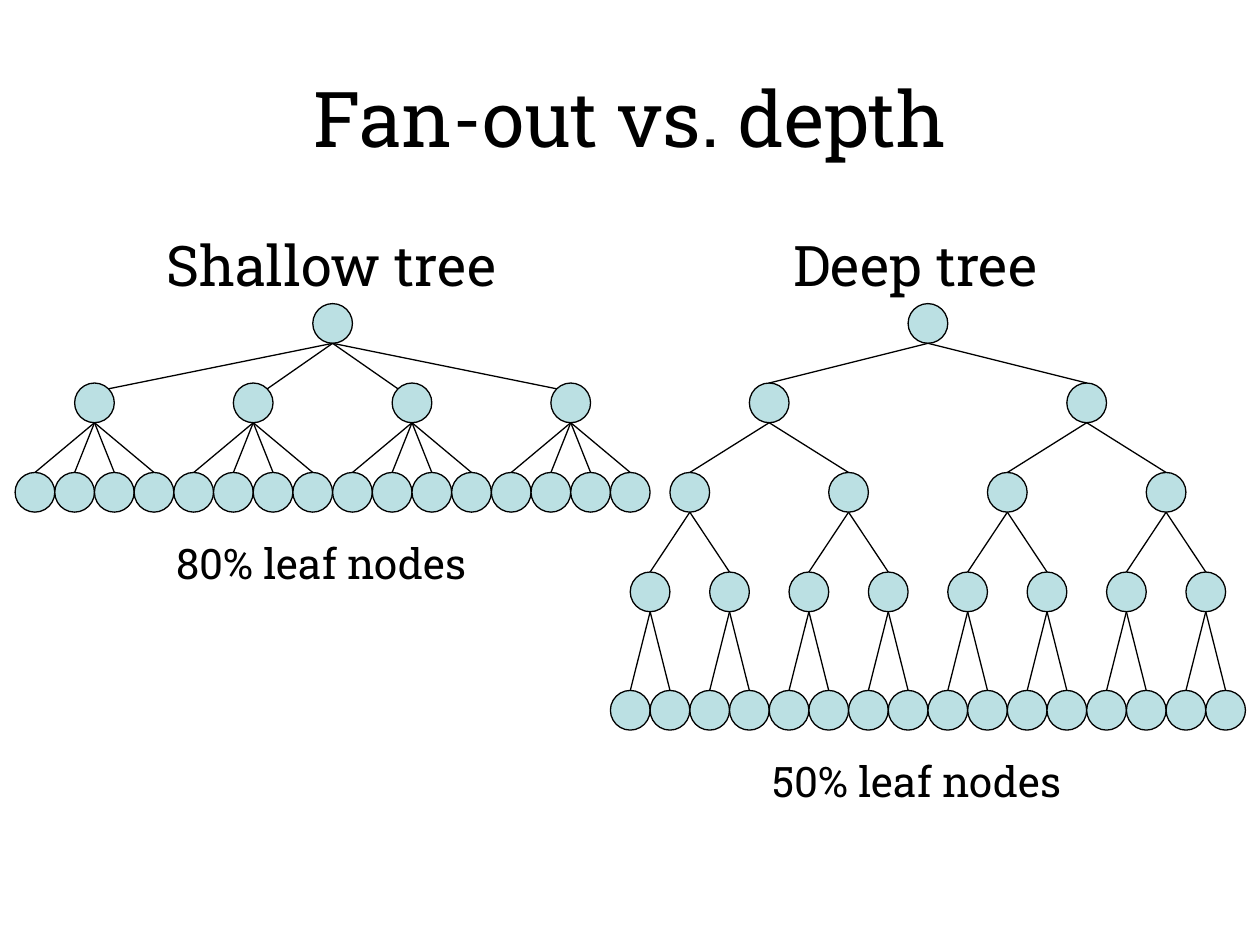
from math import sqrt

from lxml.etree import SubElement
from pptx import Presentation
from pptx.dml.color import RGBColor
from pptx.enum.shapes import MSO_CONNECTOR as Connector, MSO_SHAPE as Preset
from pptx.enum.text import MSO_ANCHOR as Anchor, PP_ALIGN as Align
from pptx.oxml.ns import qn
from pptx.util import Inches, Pt

WIDTH, HEIGHT = 10, 7.5
FONT = "Roboto Slab"
COLORS = {"node": "BBE0E3", "line": "000000", "text": "000000"}
LEAVES = 16
CELL = WIDTH * 0.0315
LEFT = WIDTH * 0.012
LINE_WIDTH = Pt(0.75)

TITLE = ("Fan-out vs. depth", (0.5, 0.3, 9, 1.25), 44)
LABELS = [
    ("Shallow tree", (1.22, 1.78, 2.88, 0.64), 32),
    ("Deep tree", (6.2, 1.78, 2.26, 0.64), 32),
    ("80% leaf nodes", (1.3, 4.22, 2.66, 0.5), 24),
    ("50% leaf nodes", (6.03, 5.95, 2.66, 0.5), 24),
]
TREES = [
    {"column": 0, "fan_out": 4, "tops": [2.41, 3.04, 3.75], "side_levels": {1}},
    {"column": 15, "fan_out": 2, "tops": [2.41, 3.04, 3.75, 4.54, 5.48], "side_levels": set()},
]


def color(name):
    return RGBColor.from_string(COLORS[name])


def add_text(slide, text, box, size):
    shape = slide.shapes.add_textbox(*map(Inches, box))
    paragraph = shape.text_frame.paragraphs[0]
    paragraph.text = text
    paragraph.font.name = FONT
    paragraph.font.size = Pt(size)
    paragraph.font.color.rgb = color("text")
    return shape.text_frame


def add_edge(slide, start, end):
    edge = slide.shapes.add_connector(Connector.STRAIGHT, *map(Inches, start + end))
    edge.line.color.rgb = color("line")
    edge.line.width = LINE_WIDTH
    SubElement(edge._element.spPr, qn("a:effectLst"))


def add_node(slide, center, top):
    node = slide.shapes.add_shape(
        Preset.OVAL, Inches(center - CELL / 2), Inches(top), Inches(CELL), Inches(CELL)
    )
    node.shadow.inherit = False
    node.fill.solid()
    node.fill.fore_color.rgb = color("node")
    node.line.color.rgb = color("line")
    node.line.width = LINE_WIDTH


def add_tree(slide, column, fan_out, tops, side_levels):
    def center(level, index):
        span = LEAVES / fan_out**level
        return LEFT + (column + (index + 0.5) * span) * CELL

    radius = CELL / 2
    diagonal = radius / sqrt(2)
    for level, top in enumerate(tops):
        for index in range(fan_out**level):
            x, y = center(level, index), top
            add_node(slide, x, top)
            if level == 0:
                continue
            parent = center(level - 1, index // fan_out)
            if level in side_levels:
                x += diagonal if x < parent else -diagonal
                y += radius - diagonal
            add_edge(slide, (parent, tops[level - 1] + CELL), (x, y))


def main():
    presentation = Presentation()
    presentation.slide_width = Inches(WIDTH)
    presentation.slide_height = Inches(HEIGHT)
    slide = presentation.slides.add_slide(presentation.slide_layouts[6])

    title = add_text(slide, *TITLE)
    title.word_wrap = True
    title.vertical_anchor = Anchor.MIDDLE
    title.paragraphs[0].alignment = Align.CENTER
    for tree in TREES:
        add_tree(slide, **tree)
    for label in LABELS:
        add_text(slide, *label).word_wrap = False

    presentation.save("out.pptx")


if __name__ == "__main__":
    main()
